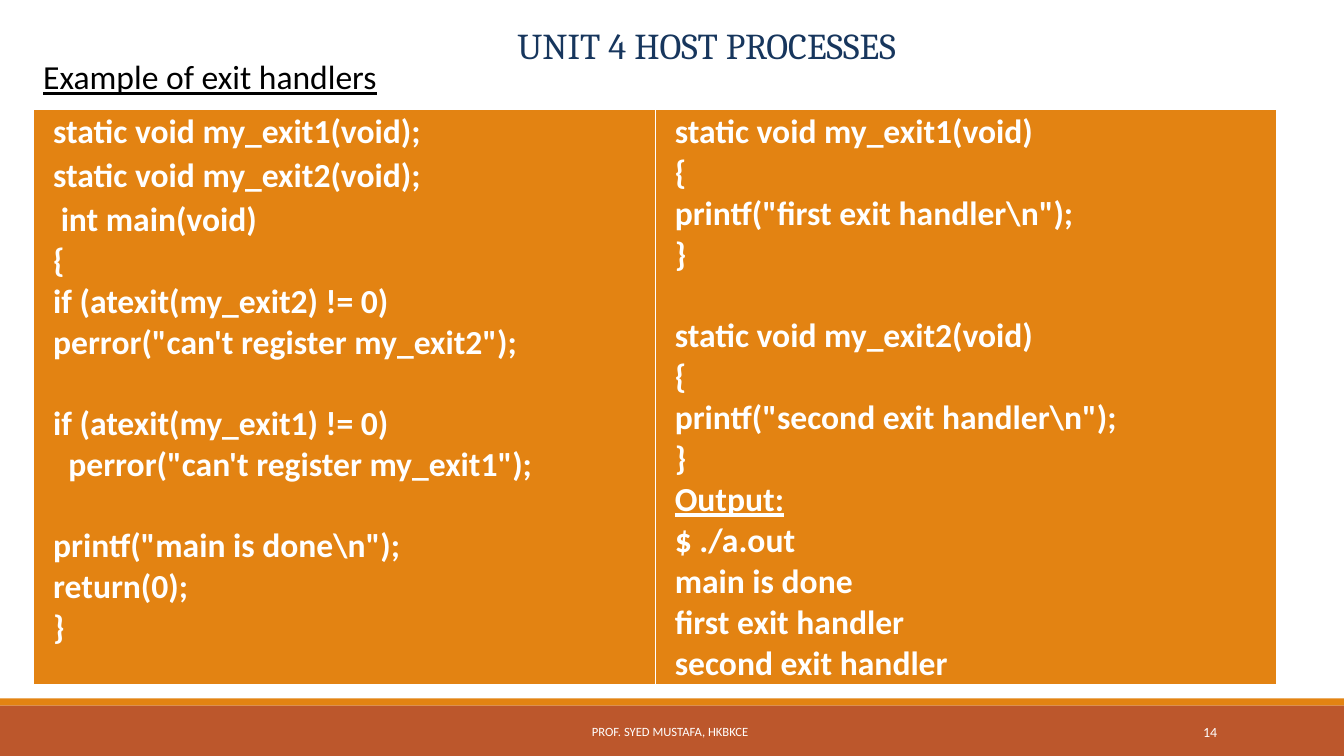
from lxml import etree
from pptx import Presentation
from pptx.dml.color import RGBColor
from pptx.enum.shapes import MSO_SHAPE
from pptx.enum.text import MSO_ANCHOR, MSO_AUTO_SIZE, PP_ALIGN
from pptx.oxml.ns import qn
from pptx.util import Cm, Pt

RECT = MSO_SHAPE.RECTANGLE
TOP = MSO_ANCHOR.TOP
FIXED = MSO_AUTO_SIZE.NONE
LEFT, MID = PP_ALIGN.LEFT, PP_ALIGN.CENTER
WIDE, HIGH = 33.88, 19.05
TITLE_ONLY = 5

HUES = {
    "navy": "17365D",
    "ink": "000000",
    "paper": "FFFFFF",
    "amber": "E38312",
    "rust": "BC572C",
}

MAIN = [
    "static void my_exit1(void);",
    "static void my_exit2(void);",
    " int main(void)",
    "{",
    "if (atexit(my_exit2) != 0)",
    "perror(\"can't register my_exit2\");",
    "if (atexit(my_exit1) != 0)",
    "  perror(\"can't register my_exit1\");",
    "printf(\"main is done\\n\");",
    "return(0);",
    "}",
]
MAIN_GAPS = {1: 2, 2: 2, 6: 28.5, 8: 28.5}

EXITS = [
    "static void my_exit1(void)",
    "{",
    "printf(\"first exit handler\\n\");",
    "}",
    "static void my_exit2(void)",
    "{",
    "printf(\"second exit handler\\n\");",
    "}",
    "Output:",
    "$ ./a.out",
    "main is done",
    "first exit handler",
    "second exit handler",
]
EXIT_GAPS = {4: 28.5}


def color(name):
    return RGBColor.from_string(HUES[name])


def style(para, size, hue, face="Calibri", bold=False, line=False):
    for run in para.runs:
        font = run.font
        font.name, font.size = face, Pt(size)
        font.bold, font.underline = bold, line
        font.color.rgb = color(hue)


def fit(frame, top=0):
    frame.word_wrap = True
    frame.auto_size = FIXED
    frame.vertical_anchor = TOP
    frame.margin_left = frame.margin_right = frame.margin_bottom = 0
    frame.margin_top = Cm(top)


def label(slide, box, text, size, hue, line=False, lead=None, top=0):
    shape = slide.shapes.add_textbox(*map(Cm, box))
    frame = shape.text_frame
    fit(frame, top)
    frame.text = text
    para = frame.paragraphs[0]
    para.alignment = LEFT
    if lead:
        para.line_spacing = Pt(lead)
    style(para, size, hue, line=line)


def head(slide, box):
    left, top, wide, high = box
    title = slide.shapes.title
    title.left, title.top = Cm(left + 11.8), Cm(top)
    title.width, title.height = Cm(9.9), Cm(1.17)
    frame = title.text_frame
    fit(frame, 0.07)
    frame.text = "UNIT 4 HOST PROCESSES"
    para = frame.paragraphs[0]
    para.alignment = MID
    style(para, 26, "navy", "Cambria")
    label(slide, (left + 0.02, top + 0.85, 9, high - 0.85),
          "Example of exit handlers", 24, "ink", line=True, top=0.07)


def edge(cell):
    props = cell._tc.get_or_add_tcPr()
    for spot, side in enumerate("LRTB"):
        width = Pt(1.47 if side == "B" else 0.45)
        line = etree.Element(qn(f"a:ln{side}"), w=str(int(width)))
        fill = etree.SubElement(line, qn("a:solidFill"))
        etree.SubElement(fill, qn("a:srgbClr"), val=HUES["paper"])
        props.insert(spot, line)


def code(cell, lines, gaps):
    cell.fill.solid()
    cell.fill.fore_color.rgb = color("amber")
    edge(cell)
    cell.vertical_anchor = TOP
    cell.margin_left = Cm(0.5)
    cell.margin_top = Cm(0.07)
    cell.margin_right = cell.margin_bottom = 0
    frame = cell.text_frame
    frame.text = "\n".join(lines)
    for spot, para in enumerate(frame.paragraphs):
        para.alignment = LEFT
        if spot in gaps:
            para.space_before = Pt(gaps[spot])
        style(para, 24, "paper", bold=True, line=para.text == "Output:")


def panel(slide, box):
    table = slide.shapes.add_table(1, 2, *map(Cm, box)).table
    for col in table.columns:
        col.width = Cm(box[2] / 2)
    code(table.cell(0, 0), MAIN, MAIN_GAPS)
    code(table.cell(0, 1), EXITS, EXIT_GAPS)


def foot(slide, box):
    left, top, wide, high = box
    thin = 0.18
    for y, tall, hue in ((top, thin, "amber"),
                         (top + thin, high - thin, "rust")):
        band = slide.shapes.add_shape(RECT, Cm(left), Cm(y), Cm(wide), Cm(tall))
        band.shadow.inherit = False
        band.fill.solid()
        band.fill.fore_color.rgb = color(hue)
        band.line.fill.background()
    label(slide, (left + 14.92, top + 0.69, 4.3, 0.33),
          "PROF. SYED MUSTAFA, HKBKCE", 9, "paper", lead=9.5)
    label(slide, (left + 30.33, top + 0.66, 0.7, 0.38),
          "14", 10, "paper", lead=11)


def main():
    deck = Presentation()
    deck.slide_width, deck.slide_height = Cm(WIDE), Cm(HIGH)
    slide = deck.slides.add_slide(deck.slide_layouts[TITLE_ONLY])
    foot(slide, (0, 17.6, WIDE, 1.45))
    head(slide, (1.07, 0.5, 31, 2))
    panel(slide, (0.84, 2.75, 31.34, 14.5))
    deck.save("out.pptx")


if __name__ == "__main__":
    main()
